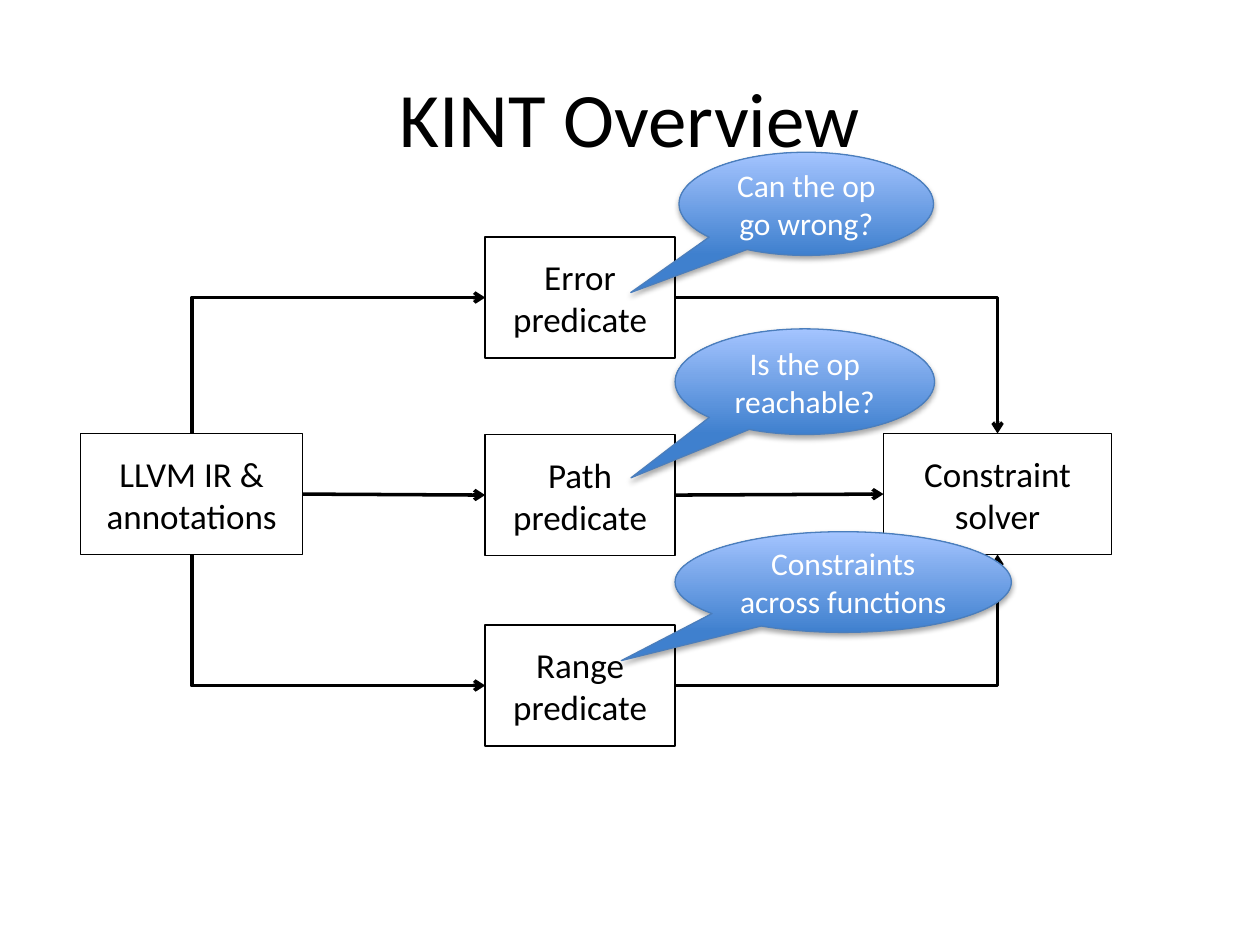
import pptx
import pptx.util
import pptx.oxml
import pptx.oxml.ns
import pptx.dml.color
import pptx.enum.shapes
import pptx.enum.text
from dataclasses import dataclass

Cm, Pt = pptx.util.Cm, pptx.util.Pt
Shapes = pptx.enum.shapes.MSO_SHAPE
Lines = pptx.enum.shapes.MSO_CONNECTOR
TOP, LEFT, BOTTOM, RIGHT = range(4)


@dataclass(frozen=True)
class Theme:
    font: str = "Calibri"
    ink: str = "000000"
    callout_text: str = "FFFFFF"
    callout_edge: str = "4B7EBC"
    callout_bottom: str = "3F80CE"
    callout_top: str = "A4C4FF"
    title_size: int = 44
    box_size: int = 20
    callout_size: int = 18
    edge_width: float = 0.75
    arrow_width: float = 2


def rgb(value):
    return pptx.dml.color.RGBColor.from_string(value)


def add_xml(parent, xml):
    """Append a drawing element, given as a tag with its attributes and content."""
    tag = xml.split()[0].strip("<>/")
    declared = f"<{tag} {pptx.oxml.ns.nsdecls('a')}"
    parent.append(pptx.oxml.parse_xml(xml.replace(f"<{tag}", declared, 1)))


class SlideBuilder:
    def __init__(self, slide, theme):
        self.shapes = slide.shapes
        self.theme = theme

    def label(self, shape, text, size, color):
        frame = shape.text_frame
        frame.word_wrap = True
        frame.vertical_anchor = pptx.enum.text.MSO_ANCHOR.MIDDLE
        frame.text = text
        paragraph = frame.paragraphs[0]
        paragraph.alignment = pptx.enum.text.PP_ALIGN.CENTER
        font = paragraph.runs[0].font
        font.name, font.size = self.theme.font, Pt(size)
        font.color.rgb = rgb(color)

    def outline(self, shape, color, width):
        shape.line.color.rgb = rgb(color)
        shape.line.width = Pt(width)

    def title(self, text, *place):
        shape = self.shapes.add_textbox(*map(Cm, place))
        self.label(shape, text, self.theme.title_size, self.theme.ink)

    def box(self, text, *place):
        shape = self.shapes.add_shape(Shapes.RECTANGLE, *map(Cm, place))
        shape.fill.background()
        self.outline(shape, self.theme.ink, self.theme.edge_width)
        shape.shadow.inherit = False
        self.label(shape, text, self.theme.box_size, self.theme.ink)
        return shape

    def arrow(self, source, source_side, target, target_side, kind=Lines.STRAIGHT):
        arrow = self.shapes.add_connector(kind, 0, 0, 0, 0)
        arrow.begin_connect(source, source_side)
        arrow.end_connect(target, target_side)
        self.outline(arrow, self.theme.ink, self.theme.arrow_width)
        properties = arrow.element.spPr
        add_xml(properties.find(pptx.oxml.ns.qn("a:ln")), '<a:tailEnd type="arrow"/>')
        add_xml(properties, "<a:effectLst/>")
        return arrow

    def bent_arrow(self, source, source_side, target, target_side):
        """An arrow with a single right-angled corner."""
        arrow = self.arrow(source, source_side, target, target_side, Lines.ELBOW)
        properties = arrow.element.spPr
        properties.find(pptx.oxml.ns.qn("a:prstGeom")).set("prst", "bentConnector2")
        if source_side in (TOP, BOTTOM):
            # Leaving vertically takes a quarter turn about the centre
            left, top, width, height = arrow.left, arrow.top, arrow.width, arrow.height
            arrow.left = left + (width - height) // 2
            arrow.top = top + (height - width) // 2
            arrow.width, arrow.height = height, width
            upward = source_side == TOP
            frame = properties.find(pptx.oxml.ns.qn("a:xfrm"))
            frame.set("rot", str((90 if upward else 270) * 60000))
            frame.set("flipH", "1")
            frame.set("flipV", "1" if upward else "0")

    def callout(self, text, place, tip):
        theme = self.theme
        shape = self.shapes.add_shape(Shapes.OVAL_CALLOUT, *map(Cm, place))
        shape.adjustments[0], shape.adjustments[1] = tip
        shape.fill.gradient()
        shape.fill.gradient_angle = 90
        colors = (theme.callout_bottom, theme.callout_top)
        for position, (stop, color) in enumerate(zip(shape.fill.gradient_stops, colors)):
            stop.position = position
            stop.color.rgb = rgb(color)
        self.outline(shape, theme.callout_edge, theme.edge_width)
        shape.shadow.inherit = False
        effects = shape.element.spPr.find(pptx.oxml.ns.qn("a:effectLst"))
        add_xml(effects,
                '<a:outerShdw blurRad="40000" dist="23000" dir="5400000" rotWithShape="0">'
                '<a:srgbClr val="000000"><a:alpha val="35000"/></a:srgbClr></a:outerShdw>')
        self.label(shape, text, theme.callout_size, theme.callout_text)


def main():
    deck = pptx.Presentation()
    deck.slide_width, deck.slide_height = Cm(25.4), Cm(19.05)
    overview = SlideBuilder(deck.slides.add_slide(deck.slide_layouts[6]), Theme())

    overview.title("KINT Overview", 1.27, 0.76, 22.86, 3.18)

    # Stages: input, three predicates, solver
    box_height = 2.44
    annotations = overview.box("LLVM IR & annotations", 1.63, 8.74, 4.47, box_height)
    error, reach, value_range = [
        overview.box(f"{name} predicate", 9.78, top, 3.83, box_height)
        for name, top in (("Error", 4.78), ("Path", 8.76), ("Range", 12.6))
    ]
    solver = overview.box("Constraint solver", 17.81, 8.74, 4.6, box_height)

    # Flow from the input through each predicate to the solver
    overview.bent_arrow(annotations, TOP, error, LEFT)
    overview.bent_arrow(annotations, BOTTOM, value_range, LEFT)
    overview.arrow(annotations, RIGHT, reach, LEFT)
    overview.arrow(reach, RIGHT, solver, LEFT)
    overview.bent_arrow(error, RIGHT, solver, TOP)
    overview.bent_arrow(value_range, RIGHT, solver, BOTTOM)

    # Question answered by each predicate
    for question, place, tip in (
        ("Can the op go wrong?", (13.69, 3.07, 5.13, 2.08), (-0.69, 0.86)),
        ("Is the op reachable?", (13.61, 6.63, 5.23, 2.13), (-0.67, 0.91)),
        ("Constraints across functions", (13.61, 10.72, 6.78, 2.03), (-0.66, 0.78)),
    ):
        overview.callout(question, place, tip)

    deck.save("out.pptx")


if __name__ == "__main__":
    main()
